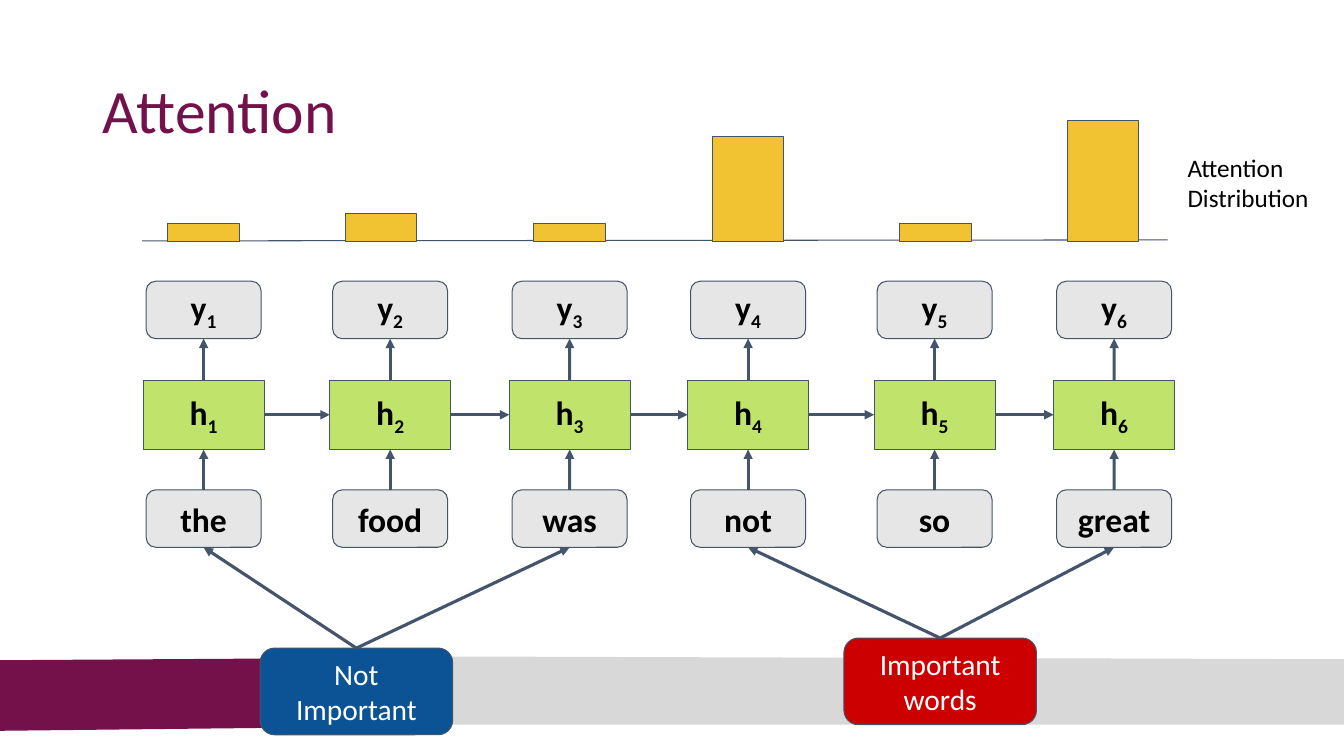
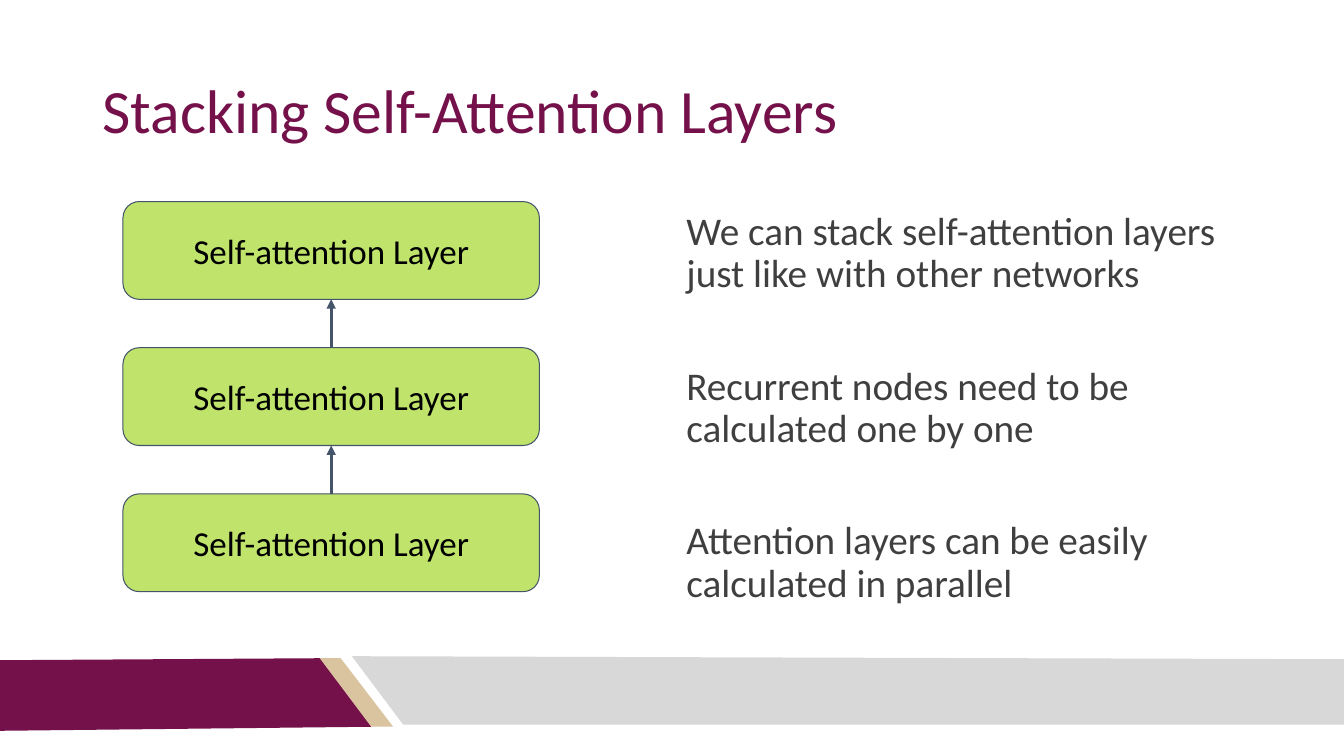
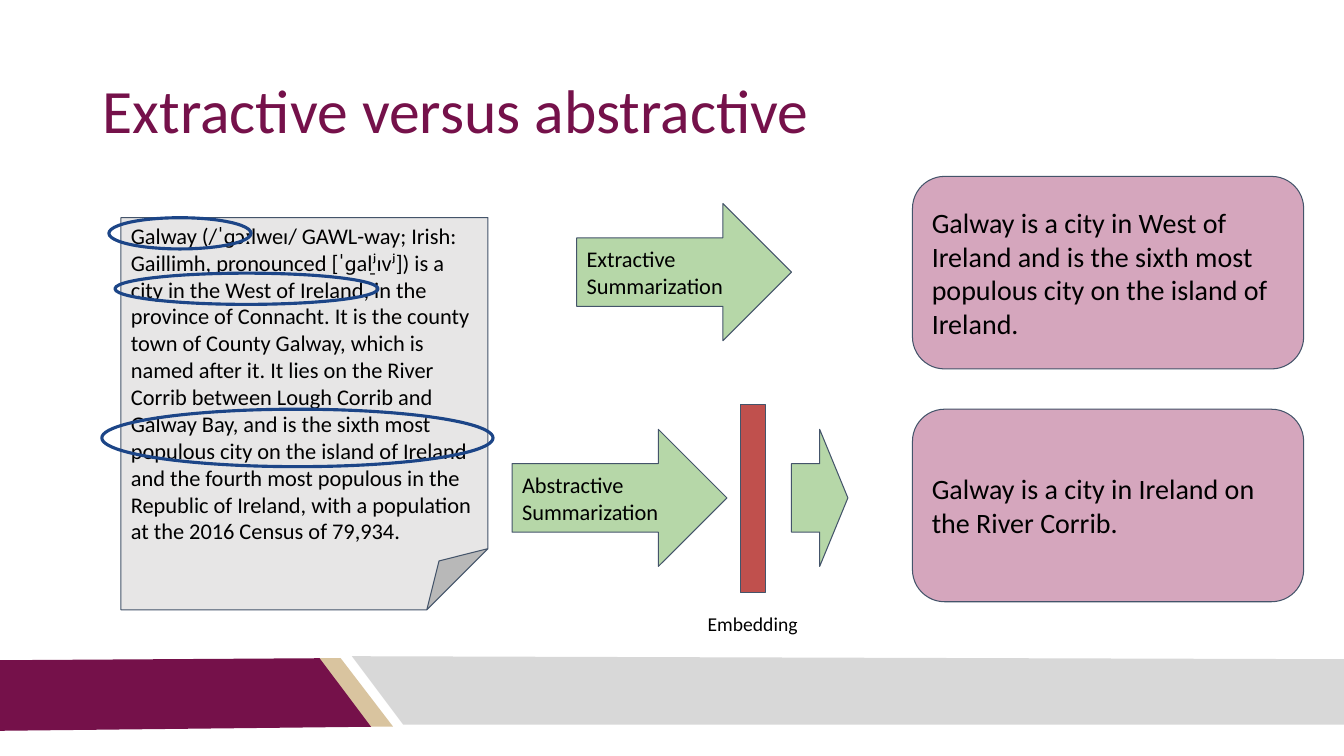
from itertools import pairwise

from lxml import etree
from pptx import Presentation
from pptx.dml.color import RGBColor
from pptx.enum.shapes import MSO_CONNECTOR, MSO_SHAPE
from pptx.enum.text import MSO_ANCHOR, PP_ALIGN
from pptx.oxml.ns import qn
from pptx.util import Inches, Pt

RECT, ROUNDED = MSO_SHAPE.RECTANGLE, MSO_SHAPE.ROUNDED_RECTANGLE
ARROW, OVAL, NOTE = MSO_SHAPE.RIGHT_ARROW, MSO_SHAPE.OVAL, MSO_SHAPE.FOLDED_CORNER
STRAIGHT = MSO_CONNECTOR.STRAIGHT
LEFT, CENTER = PP_ALIGN.LEFT, PP_ALIGN.CENTER
TOP_ANCHOR, MIDDLE = MSO_ANCHOR.TOP, MSO_ANCHOR.MIDDLE
TOP, LEFT_SIDE, BOTTOM, RIGHT_SIDE = range(4)

WIDTH, HEIGHT = 13.33, 7.5
FONT = "Calibri"
MARGIN = 0.1
COLORS = {
    "plum": "75114A", "sand": "D9C49F", "band": "D8D8D8", "slate": "44546A",
    "lime": "B0DD46", "gray": "E7E6E6", "gold": "F1C232", "red": "CC0000",
    "blue": "0B5394", "navy": "1C4587", "sage": "B6D7A8", "pink": "D5A6BD",
    "brick": "C0504D", "body": "3F3F3F", "black": "000000", "white": "FFFFFF",
}

STRIPE = ("sand", [(3.16, 6.53), (3.38, 6.53), (3.9, 7.21), (3.67, 7.21)])
BANDS = [
    ("plum", [(0, 6.55), (3.17, 6.53), (3.68, 7.21), (0, 7.25)]),
    ("band", [(3.49, 6.51), (WIDTH, 6.54), (WIDTH, 7.19), (4, 7.19)]),
]

# word, column centre, bar centre, attention bar height
WORDS = [
    ("the", 2.02, 2.02, 0.18),
    ("food", 3.87, 3.78, 0.28),
    ("was", 5.65, 5.65, 0.18),
    ("not", 7.42, 7.42, 1.05),
    ("so", 9.27, 9.28, 0.18),
    ("great", 11.05, 10.94, 1.2),
]
# text, fill, left, top, indices of the words pointed at
CALLOUTS = [
    ("Important words", "red", 8.37, 6.33, (3, 5)),
    ("Not Important", "blue", 2.58, 6.43, (0, 2)),
]
LAYER_COUNT = 3
STACKING_POINTS = [
    "We can stack self-attention layers just like with other networks",
    "Recurrent nodes need to be calculated one by one",
    "Attention layers can be easily calculated in parallel",
]
ARTICLE = (
    "Galway (/ˈɡɔːlweɪ/ GAWL-way; Irish: Gaillimh, pronounced [ˈɡal̠ʲɪvʲ]) is a "
    "city in the West of Ireland, in the province of Connacht. It is the county "
    "town of County Galway, which is named after it. It lies on the River Corrib "
    "between Lough Corrib and Galway Bay, and is the sixth most populous city on "
    "the island of Ireland and the fourth most populous in the Republic of Ireland, "
    "with a population at the 2016 Census of 79,934."
)
EXTRACTS = [(1.14, 2.71, 2.61, 0.31), (1.01, 4.06, 3.88, 0.57), (1.08, 2.16, 1.41, 0.31)]
METHODS = [
    ("Extractive Summarization", (5.72, 2.02, 2.13, 1.36)),
    ("Abstractive Summarization", (5.08, 4.26, 2.13, 1.36)),
    ("", (7.85, 4.26, 0.56, 1.36)),
]
SUMMARIES = [
    ("Galway is a city in West of Ireland and is the sixth most populous city "
     "on the island of Ireland.", 1.75),
    ("Galway is a city in Ireland on the River Corrib.", 4.06),
]


def rgb(name):
    return RGBColor.from_string(COLORS[name])


def inches(values):
    return [Inches(value) for value in values]


def write(shape, lines, size, color="black", align=LEFT, anchor=MIDDLE,
          bold=False, spacing=1.0, gap=0, subscript=""):
    frame = shape.text_frame
    frame.word_wrap = True
    frame.vertical_anchor = anchor
    frame.margin_left = frame.margin_right = Inches(MARGIN)
    frame.margin_top = frame.margin_bottom = Inches(MARGIN)
    frame.text = "\n".join(lines)
    if subscript:
        low = frame.paragraphs[0].add_run()
        low.text = subscript
        low.font._element.set("baseline", "-25000")
    for index, paragraph in enumerate(frame.paragraphs):
        paragraph.alignment = align
        paragraph.line_spacing = spacing
        if index and gap:
            paragraph.space_before = Pt(gap)
        for run in paragraph.runs:
            run.font.name = FONT
            run.font.size = Pt(size)
            run.font.bold = bold
            run.font.color.rgb = rgb(color)


def add_text(slide, box, lines, size, **style):
    write(slide.shapes.add_textbox(*inches(box)), lines, size, **style)


def add_box(slide, kind, box, fill=None, line="slate", weight=0.75, opacity=100):
    shape = slide.shapes.add_shape(kind, *inches(box))
    shape.shadow.inherit = False
    shape.line.color.rgb = rgb(line)
    shape.line.width = Pt(weight)
    if fill is None:
        shape.fill.background()
        return shape
    shape.fill.solid()
    shape.fill.fore_color.rgb = rgb(fill)
    if opacity < 100:
        color = shape._element.spPr.find(qn("a:solidFill"))[0]
        etree.SubElement(color, qn("a:alpha")).set("val", str(opacity * 1000))
    return shape


def add_line(slide, start=(0, 0), end=(0, 0), weight=0.75):
    line = slide.shapes.add_connector(STRAIGHT, *inches((*start, *end)))
    line.line.color.rgb = rgb("slate")
    line.line.width = Pt(weight)
    etree.SubElement(line._element.spPr, qn("a:effectLst"))
    return line


def link(slide, source, source_side, target, target_side):
    """Join two boxes with an arrow."""
    arrow = add_line(slide, weight=2.25)
    arrow.begin_connect(source, source_side)
    arrow.end_connect(target, target_side)
    etree.SubElement(arrow.line._get_or_add_ln(), qn("a:tailEnd")).set("type", "triangle")


def add_band(slide, color, points):
    corners = [inches(point) for point in points]
    builder = slide.shapes.build_freeform(*corners[0])
    builder.add_line_segments(corners[1:], close=True)
    band = builder.convert_to_shape()
    band.shadow.inherit = False
    band.fill.solid()
    band.fill.fore_color.rgb = rgb(color)
    band.line.fill.background()


def new_slide(deck, title, striped=True):
    slide = deck.slides.add_slide(deck.slide_layouts[6])
    for color, points in [STRIPE] * striped + BANDS:
        add_band(slide, color, points)
    add_text(slide, (0.92, 0.4, 11.5, 1.45), [title], 44, color="plum", spacing=0.9)
    return slide


def attention_slide(deck):
    slide = new_slide(deck, "Attention", striped=False)

    def node(kind, center, top, width, height, fill, label, subscript="", opacity=100):
        box = (center - width / 2, top, width, height)
        shape = add_box(slide, kind, box, fill, opacity=opacity)
        write(shape, [label], 24, align=CENTER, bold=True, subscript=subscript)
        return shape

    inputs, states = [], []
    for number, (word, center, _, _) in enumerate(WORDS, 1):
        state = node(RECT, center, 3.77, 1.2, 0.69, "lime", "h", str(number), opacity=80)
        source = node(ROUNDED, center, 4.86, 1.14, 0.57, "gray", word)
        output = node(ROUNDED, center, 2.79, 1.14, 0.57, "gray", "y", str(number))
        link(slide, source, TOP, state, BOTTOM)
        link(slide, state, TOP, output, BOTTOM)
        inputs.append(source)
        states.append(state)
    for state, following in pairwise(states):
        link(slide, state, RIGHT_SIDE, following, LEFT_SIDE)

    for text, fill, left, top, targets in CALLOUTS:
        callout = add_box(slide, ROUNDED, (left, top, 1.91, 0.86), fill)
        write(callout, [text], 21, color="white", align=CENTER)
        for target in targets:
            link(slide, callout, TOP, inputs[target], BOTTOM)

    bar_width, baseline = 0.71, 2.4
    add_line(slide, (1.41, 2.39), (11.58, 2.38))
    for _, _, center, height in WORDS:
        bar = (center - bar_width / 2, baseline - height, bar_width, height)
        add_box(slide, RECT, bar, "gold")
    add_text(slide, (11.68, 1.41, 1.46, 0.81), ["Attention", "Distribution"], 18,
             anchor=TOP_ANCHOR)


def stacking_slide(deck):
    slide = new_slide(deck, "Stacking Self-Attention Layers")
    add_text(slide, (6.71, 2, 5.71, 4.17), STACKING_POINTS, 28, color="body",
             anchor=TOP_ANCHOR, spacing=0.9, gap=50)
    layers = []
    for row in range(LAYER_COUNT):
        layer = add_box(slide, ROUNDED, (1.22, 2 + row * 1.45, 4.13, 0.97), "lime", opacity=80)
        write(layer, ["Self-attention Layer"], 25, align=CENTER)
        layers.append(layer)
    for upper, lower in pairwise(layers):
        link(slide, lower, TOP, upper, BOTTOM)


def summarization_slide(deck):
    slide = new_slide(deck, "Extractive versus abstractive")
    write(add_box(slide, NOTE, (1.2, 2.16, 3.64, 3.89), "gray"), [ARTICLE], 16)
    for extract in EXTRACTS:
        add_box(slide, OVAL, extract, line="navy", weight=2.25)
    for text, box in METHODS:
        arrow = add_box(slide, ARROW, box, "sage")
        if text:
            write(arrow, [text], 16)
    add_box(slide, RECT, (7.34, 4.01, 0.25, 1.87), "brick")
    add_text(slide, (6.76, 5.97, 1.41, 0.44), ["Embedding"], 14, align=CENTER,
             anchor=TOP_ANCHOR)
    for text, top in SUMMARIES:
        write(add_box(slide, ROUNDED, (9.05, top, 3.88, 1.91), "pink"), [text], 20)


def main():
    deck = Presentation()
    deck.slide_width, deck.slide_height = inches((WIDTH, HEIGHT))
    attention_slide(deck)
    stacking_slide(deck)
    summarization_slide(deck)
    deck.save("out.pptx")


if __name__ == "__main__":
    main()
